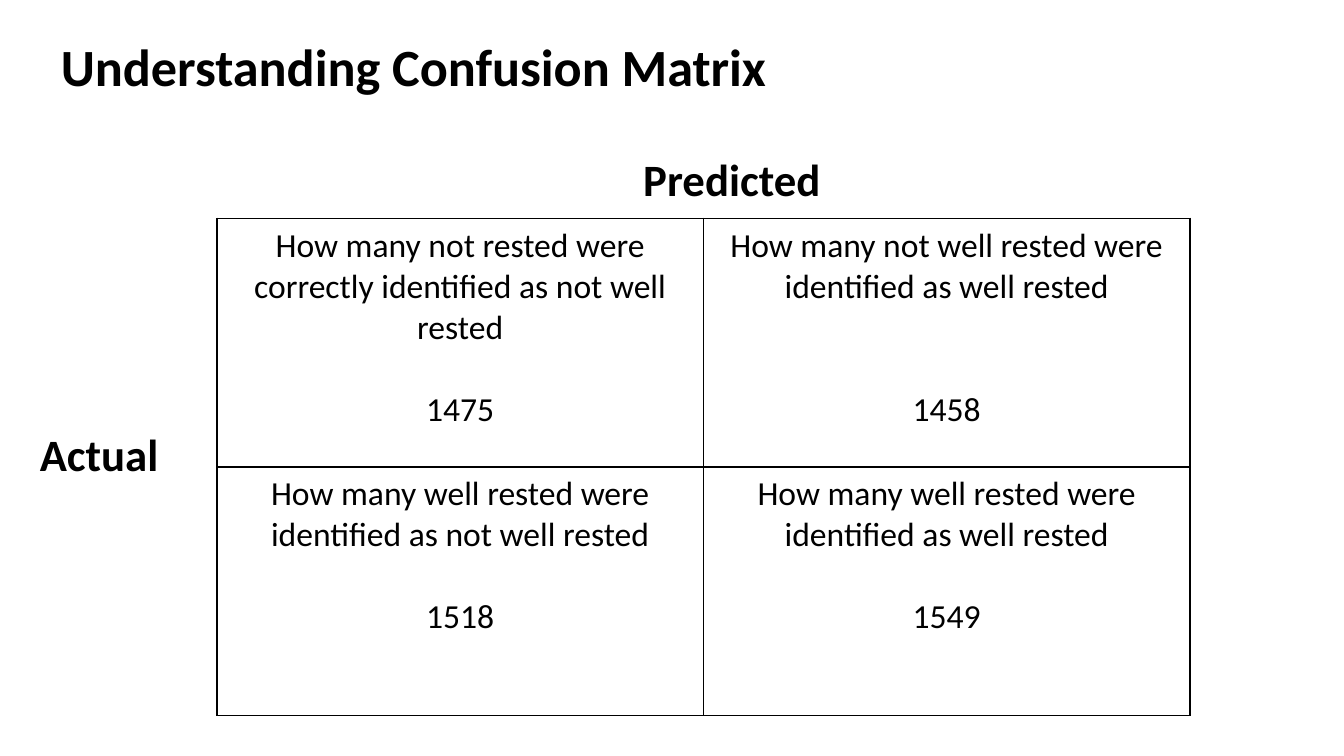
from dataclasses import dataclass

import pptx
import pptx.dml.color
import pptx.enum.text
import pptx.oxml
import pptx.oxml.ns
import pptx.util

EMU_PER_PX = 9525
FONT = "Calibri"
BLACK = "000000"
WHITE = "FFFFFF"
LINE_HEIGHT = 22


@dataclass
class Heading:
    text: str
    left: int
    top: int
    width: int
    height: int
    size: int


@dataclass
class Outcome:
    meaning: str
    count: int
    gap_lines: int = 1


HEADINGS = [
    Heading("Understanding Confusion Matrix", 34, 20, 665, 55, 28),
    Heading("Actual", 19, 300, 129, 48, 24),
    Heading("Predicted", 450, 104, 189, 48, 24),
]

MATRIX = [
    [
        Outcome("How many not rested were correctly identified as not well rested", 1475),
        Outcome("How many not well rested were identified as well rested", 1458, 2),
    ],
    [
        Outcome("How many well rested were identified as not well rested", 1518),
        Outcome("How many well rested were identified as well rested", 1549),
    ],
]


def px(length: int) -> pptx.util.Emu:
    return pptx.util.Emu(length * EMU_PER_PX)


def color(value: str) -> pptx.dml.color.RGBColor:
    return pptx.dml.color.RGBColor.from_string(value)


def style_font(paragraph, size: int, bold: bool = False) -> None:
    paragraph.font.name = FONT
    paragraph.font.size = pptx.util.Pt(size)
    paragraph.font.bold = bold
    paragraph.font.color.rgb = color(BLACK)


def draw_heading(slide, heading: Heading) -> None:
    box = slide.shapes.add_textbox(
        px(heading.left), px(heading.top), px(heading.width), px(heading.height)
    )
    box.text_frame.word_wrap = True
    box.text_frame.auto_size = pptx.enum.text.MSO_AUTO_SIZE.SHAPE_TO_FIT_TEXT
    paragraph = box.text_frame.paragraphs[0]
    paragraph.text = heading.text
    style_font(paragraph, heading.size, bold=True)


def draw_borders(cell, line_color: str) -> None:
    properties = cell._tc.get_or_add_tcPr()
    for side in "LRTB":
        properties.append(pptx.oxml.parse_xml(
            f'<a:ln{side} {pptx.oxml.ns.nsdecls("a")} w="{pptx.util.Pt(1)}">'
            f'<a:solidFill><a:srgbClr val="{line_color}"/></a:solidFill></a:ln{side}>'
        ))


def fill_cell(cell, outcome: Outcome) -> None:
    draw_borders(cell, BLACK)
    cell.fill.solid()
    cell.fill.fore_color.rgb = color(WHITE)
    meaning = cell.text_frame.paragraphs[0]
    meaning.text = outcome.meaning
    count = cell.text_frame.add_paragraph()
    count.text = str(outcome.count)
    count.space_before = pptx.util.Pt(outcome.gap_lines * LINE_HEIGHT)
    for paragraph in (meaning, count):
        paragraph.alignment = pptx.enum.text.PP_ALIGN.CENTER
        style_font(paragraph, 18)


def draw_matrix(slide, rows: list[list[Outcome]]) -> None:
    matrix = slide.shapes.add_table(
        len(rows), len(rows[0]), px(155), px(156), px(695), px(355)
    ).table
    matrix.first_row = False
    matrix.horz_banding = False
    for row_index, row in enumerate(rows):
        for column_index, outcome in enumerate(row):
            fill_cell(matrix.cell(row_index, column_index), outcome)


def main() -> None:
    deck = pptx.Presentation()
    deck.slide_width = px(960)
    deck.slide_height = px(540)
    slide = deck.slides.add_slide(deck.slide_layouts[6])
    draw_matrix(slide, MATRIX)
    for heading in HEADINGS:
        draw_heading(slide, heading)
    deck.save("out.pptx")


if __name__ == "__main__":
    main()
